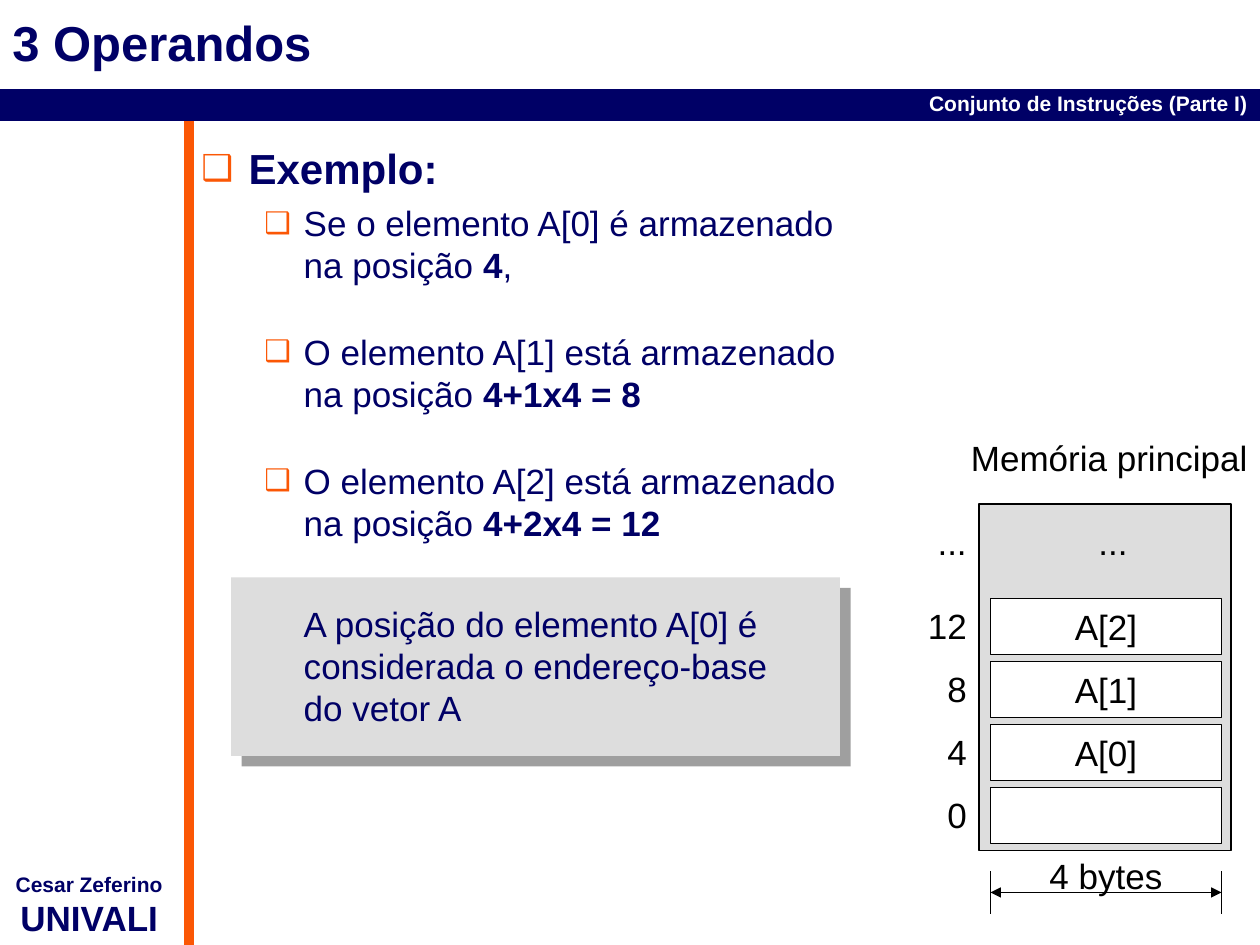
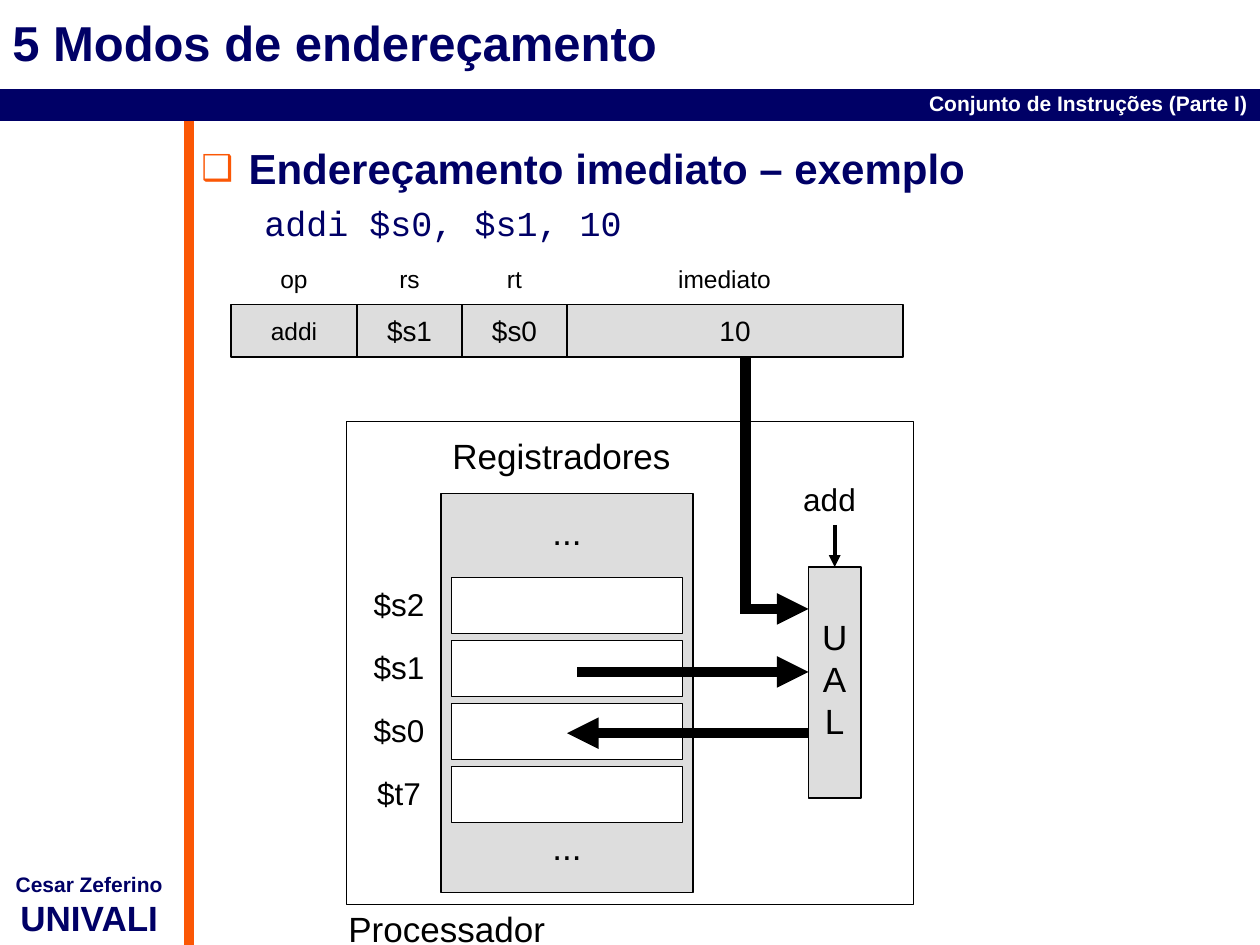
from lxml import etree
from pptx import Presentation
from pptx.dml.color import RGBColor
from pptx.enum.shapes import MSO_CONNECTOR, MSO_SHAPE
from pptx.enum.text import MSO_ANCHOR, PP_ALIGN
from pptx.oxml.ns import qn
from pptx.util import Pt

NAVY = RGBColor(0x00, 0x00, 0x66)
ORANGE = RGBColor(0xFB, 0x57, 0x05)
GRAY = RGBColor(0xDD, 0xDD, 0xDD)
SHADOW = RGBColor(0x80, 0x80, 0x80)
BLACK = RGBColor(0, 0, 0)
WHITE = RGBColor(0xFF, 0xFF, 0xFF)
RECTANGLE = MSO_SHAPE.RECTANGLE
STRAIGHT = MSO_CONNECTOR.STRAIGHT
LEFT, CENTER, RIGHT = PP_ALIGN.LEFT, PP_ALIGN.CENTER, PP_ALIGN.RIGHT
TOP, MIDDLE = MSO_ANCHOR.TOP, MSO_ANCHOR.MIDDLE
WIDTH, HEIGHT = 720, 540
CELL_WIDTH, CELL_HEIGHT, CELL_STEP = 132, 32, 36


def child(parent, tag, **attributes):
    return etree.SubElement(parent, qn(tag), attributes)


class Deck:
    """Holds the lecture style and the current slide."""

    def __init__(self):
        self.presentation = Presentation()
        self.presentation.slide_width = Pt(WIDTH)
        self.presentation.slide_height = Pt(HEIGHT)
        self.slide = None

    def new_slide(self, title):
        layout = self.presentation.slide_layouts[6]
        self.slide = self.presentation.slides.add_slide(layout)
        self.line(108, 66, 108, HEIGHT, 6, ORANGE)
        self.line(0, 60, WIDTH, 60, 18, NAVY)
        self.label("Conjunto de Instruções (Parte I)", 0, 48, WIDTH, 18,
                   size=12, color=WHITE, bold=True, align=RIGHT)
        author = self.text_frame(0, 494.5, 102, 45.5)
        author.margin_left = author.margin_right = 0
        for text, size in (("Cesar Zeferino", 12), ("UNIVALI", 20)):
            paragraph = self.paragraph(author, CENTER)
            self.run(paragraph, text, size, NAVY, True)
        self.label(title, 0, 0, WIDTH, 48, size=28, color=NAVY, bold=True,
                   align=LEFT, anchor=MIDDLE)

    def text_frame(self, left, top, width, height, anchor=TOP):
        box = self.slide.shapes.add_textbox(Pt(left), Pt(top), Pt(width), Pt(height))
        frame = box.text_frame
        frame.word_wrap = True
        frame.vertical_anchor = anchor
        return frame

    def paragraph(self, frame, align=LEFT):
        paragraph = frame.paragraphs[0]
        if paragraph.runs:
            paragraph = frame.add_paragraph()
        paragraph.alignment = align
        return paragraph

    def run(self, paragraph, text, size, color=BLACK, bold=False, font="Arial"):
        for index, piece in enumerate(text.split("\n")):
            if index:
                paragraph.add_line_break()
            run = paragraph.add_run()
            run.text = piece
            run.font.name = font
            run.font.size = Pt(size)
            run.font.bold = bold
            run.font.color.rgb = color

    def label(self, text, left, top, width, height=CELL_HEIGHT, size=20,
              color=BLACK, bold=False, align=CENTER, anchor=TOP):
        frame = self.text_frame(left, top, width, height, anchor)
        self.run(self.paragraph(frame, align), text, size, color, bold)

    def body(self, heading):
        frame = self.text_frame(108, 78, 612, 462)
        self.item(frame, [(heading, True)], 27, 27, size=24)
        return frame

    def item(self, frame, parts, left, hanging=0, before=0, size=20, font="Arial"):
        paragraph = self.paragraph(frame)
        if before:
            paragraph.space_before = Pt(before)
        properties = paragraph._p.get_or_add_pPr()
        properties.set("marL", str(Pt(left)))
        properties.set("indent", str(-Pt(hanging)))
        if hanging:
            color = child(properties, "a:buClr")
            child(color, "a:srgbClr", val=str(ORANGE))
            child(properties, "a:buSzPct", val="85000")
            child(properties, "a:buFont", typeface="Arial")
            child(properties, "a:buChar", char="❑")
        for text, bold in parts:
            self.run(paragraph, text, size, NAVY, bold, font)

    def rectangle(self, left, top, width, height, fill=GRAY, text="", size=20,
                  outlined=True):
        shape = self.slide.shapes.add_shape(
            RECTANGLE, Pt(left), Pt(top), Pt(width), Pt(height))
        shape.shadow.inherit = False
        shape.fill.solid()
        shape.fill.fore_color.rgb = fill
        if outlined:
            shape.line.color.rgb = BLACK
            shape.line.width = Pt(0.75)
        else:
            shape.line.fill.background()
        if text:
            frame = shape.text_frame
            frame.vertical_anchor = MIDDLE
            self.run(self.paragraph(frame, CENTER), text, size)
        return shape

    def shadowed_panel(self, left, top, width, height):
        panel = self.rectangle(left, top, width, height, outlined=False)
        effects = panel._element.spPr.find(qn("a:effectLst"))
        shadow = child(effects, "a:outerShdw", dist=str(Pt(8.5)), dir="2700000",
                       algn="tl", rotWithShape="0")
        color = child(shadow, "a:srgbClr", val=str(SHADOW))
        child(color, "a:alpha", val="75000")

    def cells(self, left, top, texts):
        for row, text in enumerate(texts):
            self.rectangle(left, top + row * CELL_STEP, CELL_WIDTH, CELL_HEIGHT,
                           WHITE, text)

    def line(self, x1, y1, x2, y2, width=0.75, color=BLACK, ends=()):
        connector = self.slide.shapes.add_connector(
            STRAIGHT, Pt(x1), Pt(y1), Pt(x2), Pt(y2))
        connector.line.color.rgb = color
        connector.line.width = Pt(width)
        properties = connector._element.spPr
        for end in ends:
            child(properties.find(qn("a:ln")), end, type="triangle")
        child(properties, "a:effectLst")
        return connector


HEAD, TAIL = "a:headEnd", "a:tailEnd"


def build_operands(deck):
    deck.new_slide("3 Operandos")
    deck.shadowed_panel(132, 330, 348, 102)
    frame = deck.body("Exemplo:")
    examples = (
        (5, [("Se o elemento A[0] é armazenado\nna posição ", False),
             ("4", True), (",", False)]),
        (25.5, [("O elemento A[1] está armazenado\nna posição ", False),
                ("4+1x4 = 8", True)]),
        (25.5, [("O elemento A[2] está armazenado\nna posição ", False),
                ("4+2x4 = 12", True)]),
    )
    for before, parts in examples:
        deck.item(frame, parts, 58.5, 22.5, before)
    note = "A posição do elemento A[0] é\nconsiderada o endereço-base\ndo vetor A"
    deck.item(frame, [(note, False)], 58.5, before=34)

    memory_left, cell_left, cell_top = 559.5, 566, 342
    cell_right = cell_left + CELL_WIDTH
    deck.rectangle(memory_left, 288, 144, 198)
    deck.label("Memória principal", 540, 246, 180, align=RIGHT)
    deck.label("...", memory_left - 40, 294, 40, align=RIGHT)
    for row, address in enumerate(("12", "8", "4", "0")):
        deck.label(address, memory_left - 40, cell_top + row * CELL_STEP, 40,
                   align=RIGHT)
    deck.cells(cell_left, cell_top, ("A[2]", "A[1]", "A[0]", ""))
    deck.label("...", 570, 294, CELL_WIDTH)
    deck.line(cell_left, 510, cell_right, 510, ends=(HEAD, TAIL))
    deck.label("4 bytes", cell_left, 484.5, CELL_WIDTH)
    for x in (cell_left, cell_right):
        deck.line(x, 498, x, 522)


def build_addressing(deck):
    deck.new_slide("5 Modos de endereçamento")
    frame = deck.body("Endereçamento imediato – exemplo")
    deck.item(frame, [("addi $s0, $s1, 10", False)], 36, before=5,
              font="Courier New")

    deck.rectangle(198, 241, 324, 276)
    deck.slide.shapes[-1].fill.fore_color.rgb = WHITE
    deck.rectangle(252, 282, 144, 228)
    deck.label("Registradores", 251.5, 245, 160, align=LEFT)
    cell_left, cell_top = 258, 330
    deck.cells(cell_left, cell_top, [""] * 4)
    for top in (288, 468):
        deck.label("...", cell_left, top, CELL_WIDTH)
    for row, register in enumerate(("$s2", "$s1", "$s0", "$t7")):
        deck.label(register, 198, cell_top + row * CELL_STEP, 60, 30, size=18,
                   anchor=MIDDLE)

    alu_left = 462
    alu = deck.rectangle(alu_left, 324, 30, 132)
    alu_text = deck.text_frame(alu_left, 348, 30, 79)
    for letter in "UAL":
        deck.run(deck.paragraph(alu_text, CENTER), letter, 20)
    for start, y, end in ((330, 384, TAIL), (426, 348, TAIL), (324, 419, HEAD)):
        deck.line(start, y, alu_left, y, 6, ends=(end,))
    operation_arrow = deck.line(477, 300, 477, 324, 2.25, ends=(TAIL,))
    operation_arrow.end_connect(alu, 0)
    deck.label("add", 444, 270, 60, 30, size=18, anchor=MIDDLE)
    deck.label("Processador", 192, 515, 160, 25, align=LEFT)

    deck.line(426, 198, 426, 351, 6)
    fields = (
        ("op", "addi", 72, 14, 0),
        ("rs", "$s1", 60, 16, 0),
        ("rt", "$s0", 60, 16, 0),
        ("imediato", "10", 192, 16, -6),
    )
    left = 132
    for name, value, width, size, shift in fields:
        deck.rectangle(left, 174, width, 30, text=value, size=size)
        deck.label(name, left + shift, 144, width, 30, size=14, anchor=MIDDLE)
        left += width


def main():
    deck = Deck()
    build_operands(deck)
    build_addressing(deck)
    deck.presentation.save("out.pptx")


if __name__ == "__main__":
    main()
